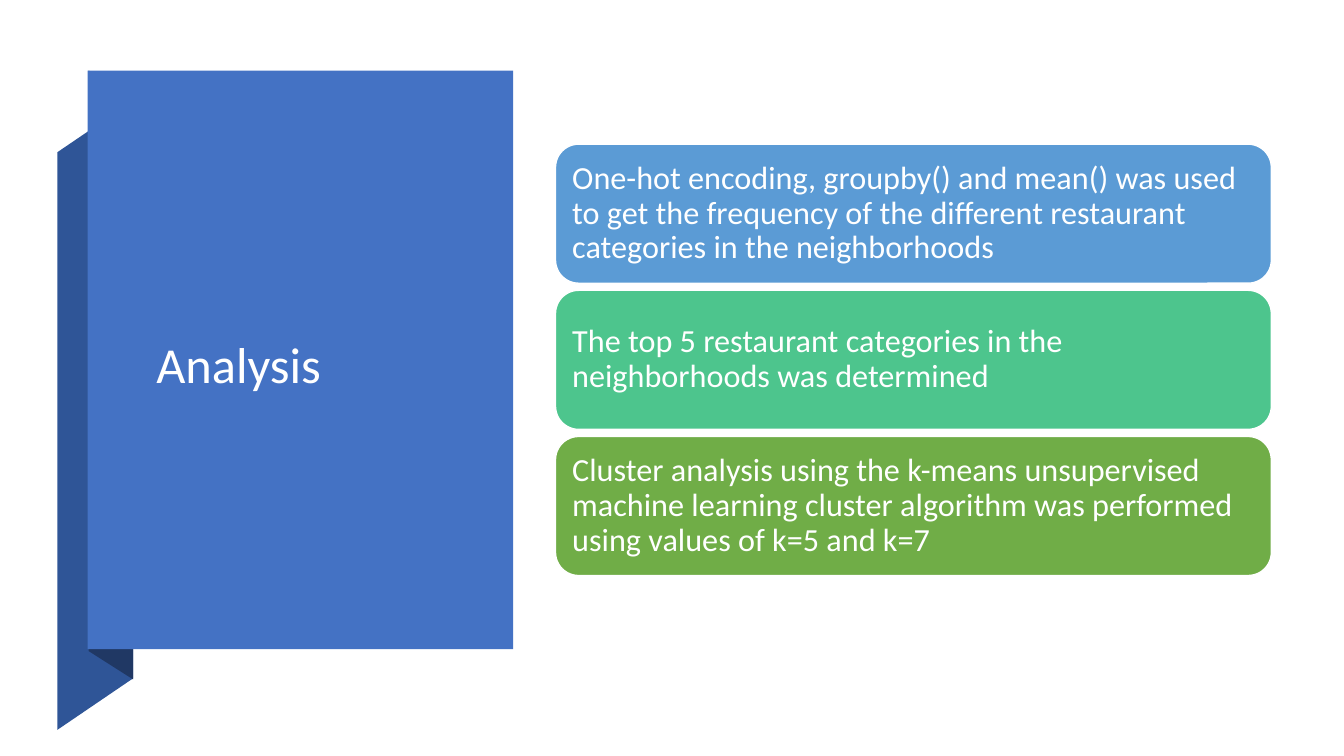
from pptx import Presentation
from pptx.dml.color import RGBColor
from pptx.enum.shapes import MSO_SHAPE
from pptx.enum.text import MSO_ANCHOR, PP_ALIGN
from pptx.util import Emu, Pt

PX = 9144
RECTANGLE = MSO_SHAPE.RECTANGLE
ROUNDED = MSO_SHAPE.ROUNDED_RECTANGLE
MIDDLE = MSO_ANCHOR.MIDDLE
LEFT = PP_ALIGN.LEFT

WHITE = RGBColor(0xFF, 0xFF, 0xFF)
PANEL_BLUE = RGBColor(0x44, 0x72, 0xC4)
RIBBON_BLUE = RGBColor(0x2F, 0x55, 0x97)
FOLD_NAVY = RGBColor(0x20, 0x38, 0x64)
SKY = RGBColor(0x5B, 0x9B, 0xD5)
MINT = RGBColor(0x4D, 0xC5, 0x8D)
GREEN = RGBColor(0x70, 0xAD, 0x47)

FONT = "Calibri"
CARD_TOP, CARD_HEIGHT, CARD_PITCH = 143, 138, 145
STEPS = [
    (SKY, "One-hot encoding, groupby() and mean() was used to get the frequency "
          "of the different restaurant categories in the neighborhoods"),
    (MINT, "The top 5 restaurant categories in the neighborhoods was determined"),
    (GREEN, "Cluster analysis using the k-means unsupervised machine learning "
            "cluster algorithm was performed using values of k=5 and k=7"),
]


def px(length):
    return Emu(length * PX)


def paint(shape, color):
    shape.shadow.inherit = False
    shape.fill.solid()
    shape.fill.fore_color.rgb = color
    shape.line.fill.background()


def write(frame, text, size):
    frame.word_wrap = True
    frame.vertical_anchor = MIDDLE
    paragraph = frame.paragraphs[0]
    paragraph.alignment = LEFT
    paragraph.line_spacing = 0.9
    run = paragraph.add_run()
    run.text = text
    run.font.name = FONT
    run.font.size = Pt(size)
    run.font.color.rgb = WHITE


def add_facet(slide, corners, color):
    outline = slide.shapes.build_freeform(*corners[0], scale=PX)
    outline.add_line_segments(corners[1:], close=True)
    paint(outline.convert_to_shape(), color)


def add_panel(slide, left, top, width, height):
    panel = slide.shapes.add_shape(RECTANGLE, px(left), px(top), px(width), px(height))
    paint(panel, PANEL_BLUE)


def place_title(slide, text, left, top, width, height):
    title = slide.shapes.title
    title.left, title.top = px(left), px(top)
    title.width, title.height = px(width), px(height)
    write(title.text_frame, text, 36)
    slide.shapes.element.append(title.element)


def add_card(slide, top, color, text):
    card = slide.shapes.add_shape(ROUNDED, px(551), px(top), px(710), px(CARD_HEIGHT))
    paint(card, color)
    card.line.color.rgb = WHITE
    card.line.width = Pt(1)
    frame = card.text_frame
    frame.margin_left = frame.margin_right = px(10)
    frame.margin_top = frame.margin_bottom = px(10)
    write(frame, text, 23)


def main():
    deck = Presentation()
    deck.slide_width, deck.slide_height = px(1333), px(750)
    slide = deck.slides.add_slide(deck.slide_layouts[5])

    add_facet(slide, [(57, 724), (132, 673), (132, 100), (57, 151)], RIBBON_BLUE)
    add_facet(slide, [(88, 646), (132, 674), (132, 99), (88, 70)], FOLD_NAVY)
    add_panel(slide, 87, 70, 422, 574)
    place_title(slide, "Analysis", 145, 167, 301, 394)
    for index, (color, text) in enumerate(STEPS):
        add_card(slide, CARD_TOP + index * CARD_PITCH, color, text)

    deck.save("out.pptx")


if __name__ == "__main__":
    main()
